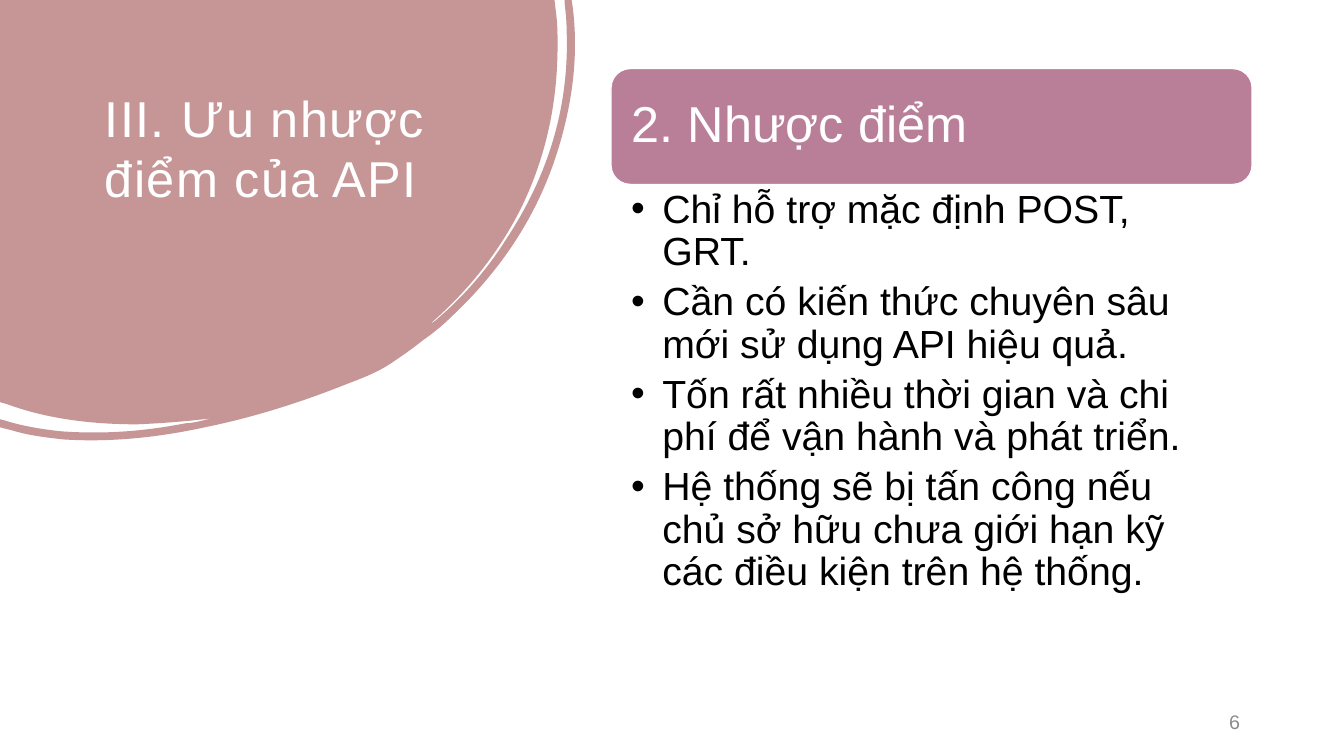
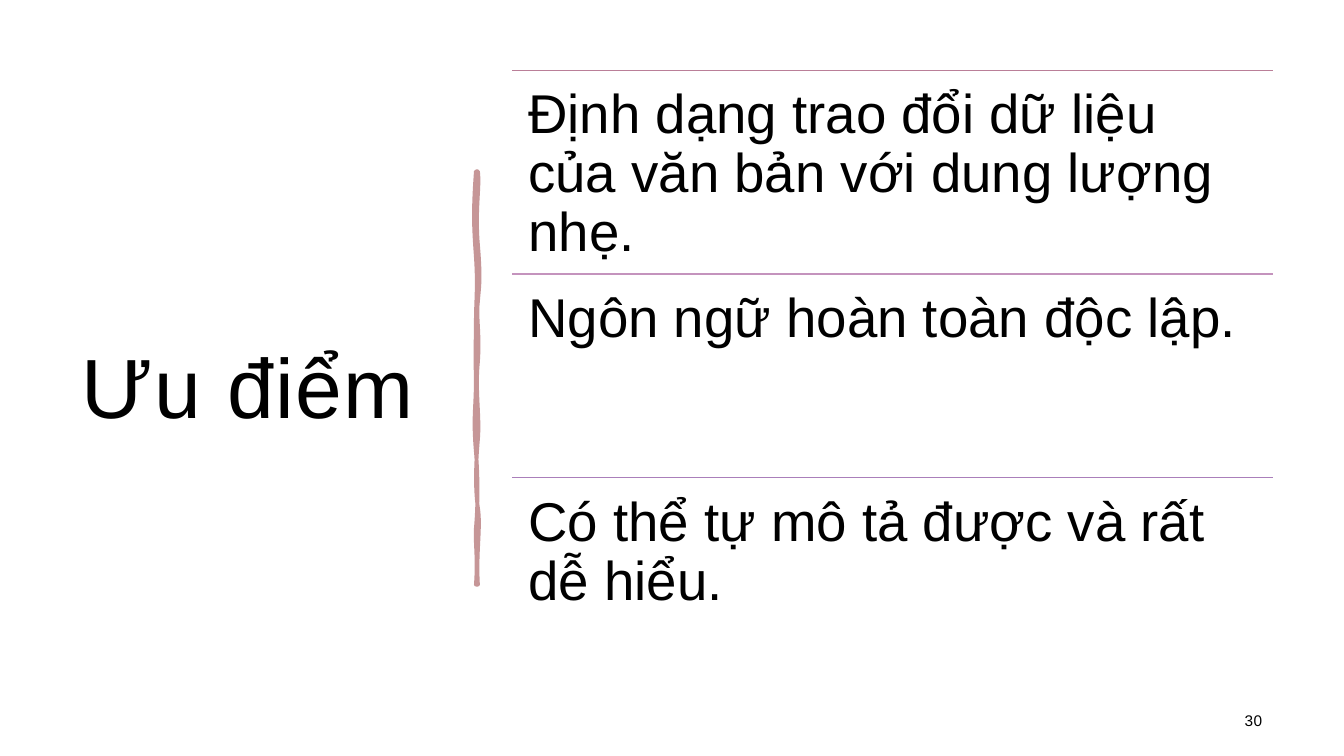
from lxml.etree import SubElement
from pptx import Presentation
from pptx.dml.color import RGBColor
from pptx.enum.shapes import MSO_CONNECTOR as CONNECTOR, MSO_SHAPE as SHAPE
from pptx.enum.text import MSO_ANCHOR as ANCHOR, PP_ALIGN as ALIGN
from pptx.oxml.ns import qn
from pptx.util import Emu, Pt

PX = 9144  # 100 px to the inch
SLIDE_WIDTH, SLIDE_HEIGHT = 1333, 750
FONT = "Arial"
WHITE, BLACK, GREY = "FFFFFF", "000000", "8C8C8C"
ROSE, MAUVE, ORCHID, VIOLET = "C69697", "BA7F98", "C493BD", "AA7FBA"
FRAME_INSETS = (12, 12, 12, 10)

# Outlines: a pair is a corner, six numbers are a cubic curve.
CORNER_BLOB = [
    (0, 0), (550, 0), (552, 17),
    (553, 26, 553, 36, 553, 45), (553, 101, 542, 154, 518, 204),
    (496, 249, 465, 288, 427, 321), (429, 321, 430, 319, 432, 318),
    (459, 295, 482, 269, 501, 239), (543, 176, 565, 107, 562, 30),
    (562, 21, 561, 12, 560, 3),
    (560, 0), (567, 0), (568, 7),
    (574, 54, 568, 102, 553, 150), (533, 214, 497, 268, 448, 314),
    (439, 323, 429, 331, 419, 338), (409, 346, 399, 353, 387, 361),
    (375, 369, 360, 375, 344, 381), (299, 399, 252, 414, 203, 424),
    (157, 434, 110, 439, 63, 436), (45, 434, 28, 432, 12, 427),
    (0, 424), (0, 416), (4, 417),
    (23, 423, 42, 426, 61, 428), (103, 431, 143, 428, 184, 420),
    (189, 420, 193, 419, 198, 418), (202, 417, 206, 416, 210, 415),
    (186, 418, 161, 420, 136, 421), (92, 421, 48, 416, 7, 401),
    (0, 399),
]
BRUSH_STROKE = [
    (472, 170), (473, 170, 473, 170, 474, 170),
    (476, 186, 471, 207, 474, 243), (477, 279, 475, 285, 474, 299),
    (472, 313, 476, 331, 474, 359), (471, 387, 476, 413, 474, 436),
    (472, 458, 471, 485, 474, 504), (477, 523, 472, 548, 474, 580),
    (473, 580, 473, 580, 472, 580),
    (474, 554, 471, 536, 472, 524), (473, 513, 475, 483, 472, 448),
    (469, 413, 472, 406, 472, 375), (471, 345, 472, 341, 472, 319),
    (472, 298, 474, 285, 472, 255), (470, 226, 469, 212, 472, 170),
]

DRAWBACKS = [
    "Chỉ hỗ trợ mặc định POST, GRT.",
    "Cần có kiến thức chuyên sâu mới sử dụng API hiệu quả.",
    "Tốn rất nhiều thời gian và chi phí để vận hành và phát triển.",
    "Hệ thống sẽ bị tấn công nếu chủ sở hữu chưa giới hạn kỹ các điều kiện trên hệ thống.",
]
ADVANTAGES = [
    ("Định dạng trao đổi dữ liệu của văn bản với dung lượng nhẹ.", MAUVE),
    ("Ngôn ngữ hoàn toàn độc lập.", ORCHID),
    ("Có thể tự mô tả được và rất dễ hiểu.", VIOLET),
]


def px(*lengths):
    return [Emu(length * PX) for length in lengths]


def color(hex_string):
    return RGBColor.from_string(hex_string)


def add_bullet(paragraph, indent):
    properties = paragraph._p.get_or_add_pPr()
    properties.set("marL", str(indent * PX))
    properties.set("indent", str(-indent * PX))
    SubElement(properties, qn("a:buFont"), typeface=FONT)
    SubElement(properties, qn("a:buChar"), char="•")


def write_text(shape, *texts, size, hex_color=BLACK, insets=FRAME_INSETS, anchor=ANCHOR.TOP,
               align=ALIGN.LEFT, line_spacing=1.0, space_after=0, tracking=0, bullet_indent=0):
    """Fill a shape with one paragraph for each text; size, spacing and tracking are points."""
    frame = shape.text_frame
    frame.word_wrap = True
    frame.vertical_anchor = anchor
    (frame.margin_left, frame.margin_top,
     frame.margin_right, frame.margin_bottom) = px(*insets)
    for index, text in enumerate(texts):
        paragraph = frame.add_paragraph() if index else frame.paragraphs[0]
        paragraph.alignment = align
        paragraph.line_spacing = line_spacing
        paragraph.space_after = Pt(space_after)
        if bullet_indent:
            add_bullet(paragraph, bullet_indent)
        run = paragraph.add_run()
        run.text = text
        run.font.name = FONT
        run.font.size = Pt(size)
        run.font.color.rgb = color(hex_color)
        if tracking:
            run._r.get_or_add_rPr().set("spc", str(round(tracking * 100)))


def add_text(slide, box, *texts, **text_format):
    write_text(slide.shapes.add_textbox(*px(*box)), *texts, **text_format)


def paint(shape, fill, line=None, line_width=1):
    shape.shadow.inherit = False
    shape.fill.solid()
    shape.fill.fore_color.rgb = color(fill)
    if line:
        shape.line.color.rgb = color(line)
        shape.line.width = Pt(line_width)
    else:
        shape.line.fill.background()


def add_panel(slide, preset, box, **paint_format):
    panel = slide.shapes.add_shape(preset, *px(*box))
    paint(panel, **paint_format)
    return panel


def bend(shape, segments):
    """Turn the straight segments of a freeform into curves where six numbers are given."""
    lines = list(shape._element.iter(qn("a:lnTo")))
    for line, segment in zip(lines, segments):
        if len(segment) == 2:
            continue
        line.tag = qn("a:cubicBezTo")
        end_point = line[0]
        for x, y in (segment[0:2], segment[2:4]):
            control = SubElement(line, qn("a:pt"))
            control.set("x", str(x * PX - shape.left))
            control.set("y", str(y * PX - shape.top))
        line.append(end_point)


def add_outline(slide, outline, **paint_format):
    start, *corners = [px(*segment[-2:]) for segment in outline]
    builder = slide.shapes.build_freeform(*start)
    builder.add_line_segments(corners, close=True)
    shape = builder.convert_to_shape()
    bend(shape, outline[1:])
    paint(shape, **paint_format)


def add_rule(slide, left, top, width, hex_color):
    rule = slide.shapes.add_connector(CONNECTOR.STRAIGHT, *px(left, top, left + width, top))
    rule.line.color.rgb = color(hex_color)
    rule.line.width = Pt(1)
    SubElement(rule._element.spPr, qn("a:effectLst"))


def add_title(slide, box, text, **text_format):
    add_text(slide, box, text, tracking=1, **text_format)


def add_page_number(slide, left, width, number, **text_format):
    add_text(slide, (left, 695, width, 40), number, anchor=ANCHOR.MIDDLE,
             align=ALIGN.RIGHT, tracking=0.4, **text_format)


def add_banner(slide, box, text):
    banner = add_panel(slide, SHAPE.ROUNDED_RECTANGLE, box, fill=MAUVE, line=WHITE)
    write_text(banner, text, size=36, hex_color=WHITE, insets=(15, 15, 15, 15),
               anchor=ANCHOR.MIDDLE, line_spacing=0.9)


def add_ruled_rows(slide, left, top, width, height, rows):
    for index, (text, rule_color) in enumerate(rows):
        row_top = top + index * height
        add_rule(slide, left, row_top, width, rule_color)
        add_text(slide, (left, row_top, width, height), text, size=39,
                 insets=(16, 16, 16, 16), line_spacing=0.9)


def build_drawbacks(slide):
    add_outline(slide, CORNER_BLOB, fill=ROSE)
    add_title(slide, (92, 74, 352, 222), "III. Ưu nhược điểm của API", size=36, hex_color=WHITE)
    add_banner(slide, (606, 68, 636, 115), "2. Nhược điểm")
    add_text(slide, (606, 183, 636, 489), *DRAWBACKS, size=28, insets=(20, 5, 28, 5),
             line_spacing=0.9, space_after=5.6, bullet_indent=31)
    add_page_number(slide, 942, 300, "6", size=14, hex_color=GREY)


def build_advantages(slide):
    add_title(slide, (69, 70, 374, 611), "Ưu điểm", size=60, anchor=ANCHOR.MIDDLE,
              line_spacing=1.1)
    add_outline(slide, BRUSH_STROKE, fill=ROSE, line=ROSE, line_width=2.75)
    add_page_number(slide, 1064, 200, "30", size=11, line_spacing=0.9)
    add_ruled_rows(slide, 508, 70, 755, 202, ADVANTAGES)


def main():
    presentation = Presentation()
    presentation.slide_width, presentation.slide_height = px(SLIDE_WIDTH, SLIDE_HEIGHT)
    blank = presentation.slide_layouts[6]
    for build in (build_drawbacks, build_advantages):
        slide = presentation.slides.add_slide(blank)
        add_panel(slide, SHAPE.RECTANGLE, (0, 0, SLIDE_WIDTH, SLIDE_HEIGHT), fill=WHITE)
        build(slide)
    presentation.save("out.pptx")


if __name__ == "__main__":
    main()
